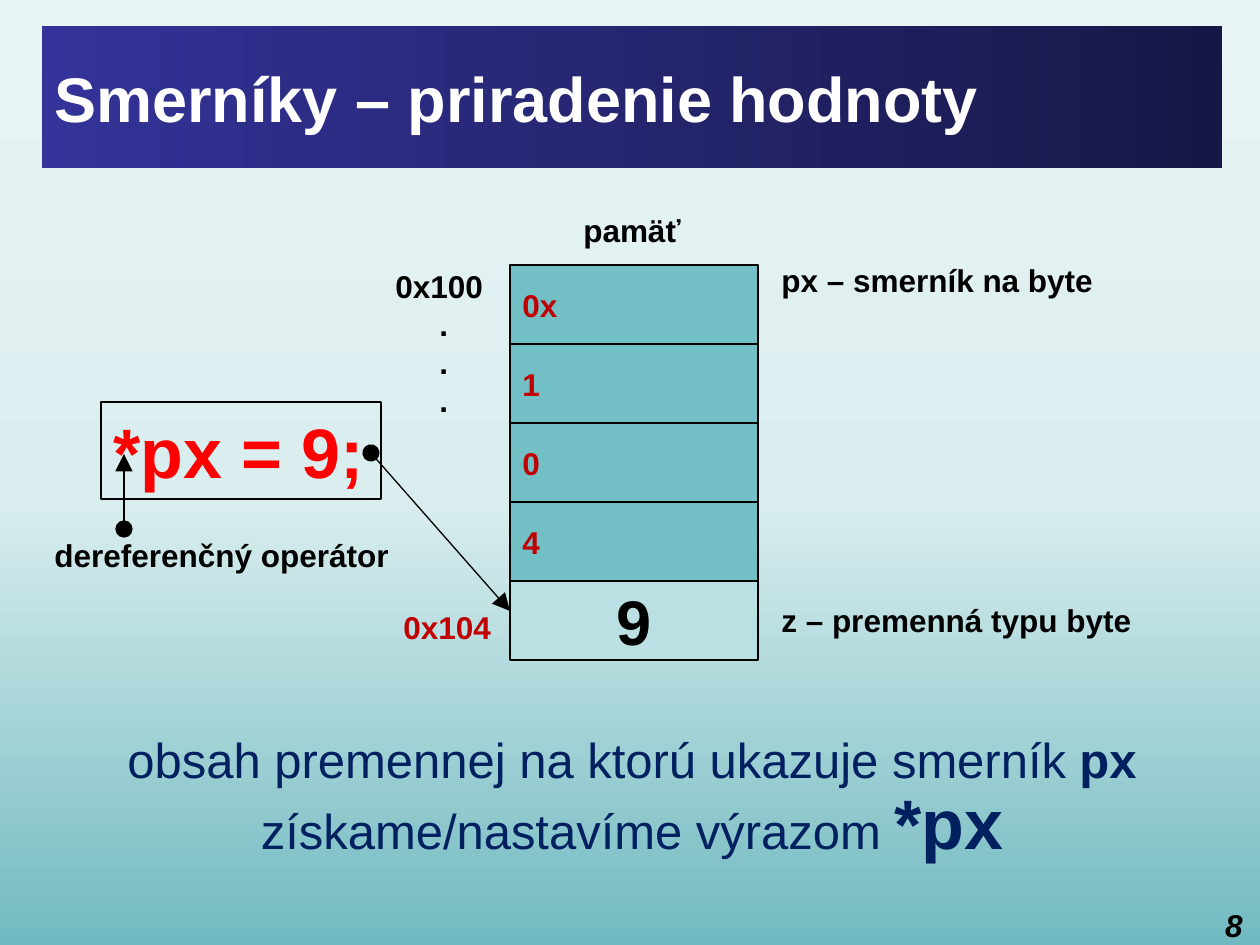
from lxml.etree import SubElement as Sub
from pptx import Presentation
from pptx.dml.color import RGBColor
from pptx.enum.shapes import MSO_CONNECTOR as Conn, MSO_SHAPE as Shape
from pptx.enum.text import MSO_ANCHOR as Anchor, PP_ALIGN as Align
from pptx.oxml.ns import qn
from pptx.util import Pt

PX = 914400 // 126
BLACK, RED, NAVY = "000000", "C00000", "002060"
BACK = [(0, "E9F4F5"), (52, "DBEEEF"), (100, "71BAC1")]
BAR = [(0, "333399"), (100, "171746")]
TITLE = "Smerníky – priradenie hodnoty"
CELLS = [
    ("0x", "72BFC5", RED, 18, Align.LEFT),
    ("1", "72BFC5", RED, 18, Align.LEFT),
    ("0", "72BFC5", RED, 18, Align.LEFT),
    ("4", "72BFC5", RED, 18, Align.LEFT),
    ("9", "BBE0E3", BLACK, 36, Align.CENTER),
]
LEFT, TOP, WIDE, HIGH = 510, 265, 248, 79
LABELS = [
    ("px – smerník na byte", 769, 255, 340, BLACK),
    ("z – premenná typu byte", 769, 595, 379, BLACK),
    ("pamäť", 571, 205, 124, BLACK),
    ("dereferenčný operátor", 42, 530, 363, BLACK),
    ("0x104", 391, 602, 120, RED),
]
ADDRS = ["0x100", ".", ".", "."]
ARROWS = [(371, 453, 510, 611), (124, 529, 124, 454)]
NOTE = [
    ("obsah premennej na ktorú ukazuje smerník ", 28, False),
    ("px", 28, True),
    (" získame/nastavíme výrazom ", 28, False),
    ("*px", 40, True),
]


def tint(code):
    return RGBColor.from_string(code)


def emu(*vals):
    return [val * PX for val in vals]


def blend(fill, props, stops, angle):
    fill.solid()
    old = props.find(qn("a:solidFill"))
    grad = props.makeelement(qn("a:gradFill"), {"rotWithShape": "1"})
    props.replace(old, grad)
    group = Sub(grad, qn("a:gsLst"))
    for pos, code in stops:
        stop = Sub(group, qn("a:gs"), pos=str(pos * 1000))
        Sub(stop, qn("a:srgbClr"), val=code)
    Sub(grad, qn("a:lin"), ang=str(angle * 60000), scaled="0")


def style(font, size, color, bold=True):
    font.name, font.size, font.bold = "Arial", Pt(size), bold
    font.color.rgb = tint(color)


def write(shape, lines, size, color, align=Align.LEFT, anchor=Anchor.TOP):
    frame = shape.text_frame
    frame.word_wrap, frame.vertical_anchor = True, anchor
    frame.text = "\n".join(lines)
    for para in frame.paragraphs:
        para.alignment = align
        style(para.font, size, color)
    return frame


def rect(area):
    shape = slide.shapes.add_shape(Shape.RECTANGLE, *emu(*area))
    shape.shadow.inherit = False
    shape.line.color.rgb = tint(BLACK)
    shape.line.width = Pt(0.75)
    return shape


def label(area, lines, size=18, color=BLACK, align=Align.LEFT):
    return write(slide.shapes.add_textbox(*emu(*area)), lines, size, color, align)


def arrow(ends):
    link = slide.shapes.add_connector(Conn.STRAIGHT, *emu(*ends))
    link.line.color.rgb = tint(BLACK)
    link.line.width = Pt(0.75)
    line = link.line._get_or_add_ln()
    Sub(line, qn("a:headEnd"), type="oval", w="lg", len="lg")
    Sub(line, qn("a:tailEnd"), type="triangle", w="lg", len="lg")
    Sub(link._element.spPr, qn("a:effectLst"))


deck = Presentation()
deck.slide_width, deck.slide_height = emu(1260, 945)
slide = deck.slides.add_slide(deck.slide_layouts[6])
back = slide.background.fill
back.solid()
blend(back, slide._element.cSld.bg.bgPr, BACK, 90)

bar = rect((42, 26, 1180, 142))
blend(bar.fill, bar._element.spPr, BAR, 0)
bar.line.fill.background()
write(bar, [TITLE], 36, "FFFFFF", anchor=Anchor.MIDDLE)

addr = label((383, 261, 128, 165), ADDRS)
for para in addr.paragraphs:
    para.line_spacing = Pt(21.6)
for para in addr.paragraphs[1:]:
    para._p.get_or_add_pPr().set("marL", str(44 * PX))

for row, (text, fill, color, size, align) in enumerate(CELLS):
    cell = rect((LEFT, TOP + row * HIGH, WIDE, HIGH))
    cell.fill.solid()
    cell.fill.fore_color.rgb = tint(fill)
    write(cell, [text], size, color, align, Anchor.MIDDLE)

for text, left, top, wide, color in LABELS:
    label((left, top, wide, 50), [text], color=color)

code = rect((101, 402, 280, 97))
code.fill.background()
write(code, ["*px = 9;"], 40, "FF0000", anchor=Anchor.MIDDLE)

for ends in ARROWS:
    arrow(ends)

note = label((42, 730, 1180, 142), [""], 28, NAVY, Align.CENTER).paragraphs[0]
note.line_spacing = 0.9
for text, size, bold in NOTE:
    run = note.add_run()
    run.text = text
    style(run.font, size, NAVY, bold)

page = label((1188, 900, 67, 39), ["8"], align=Align.RIGHT)
page.paragraphs[0].font.italic = True

deck.save("out.pptx")
